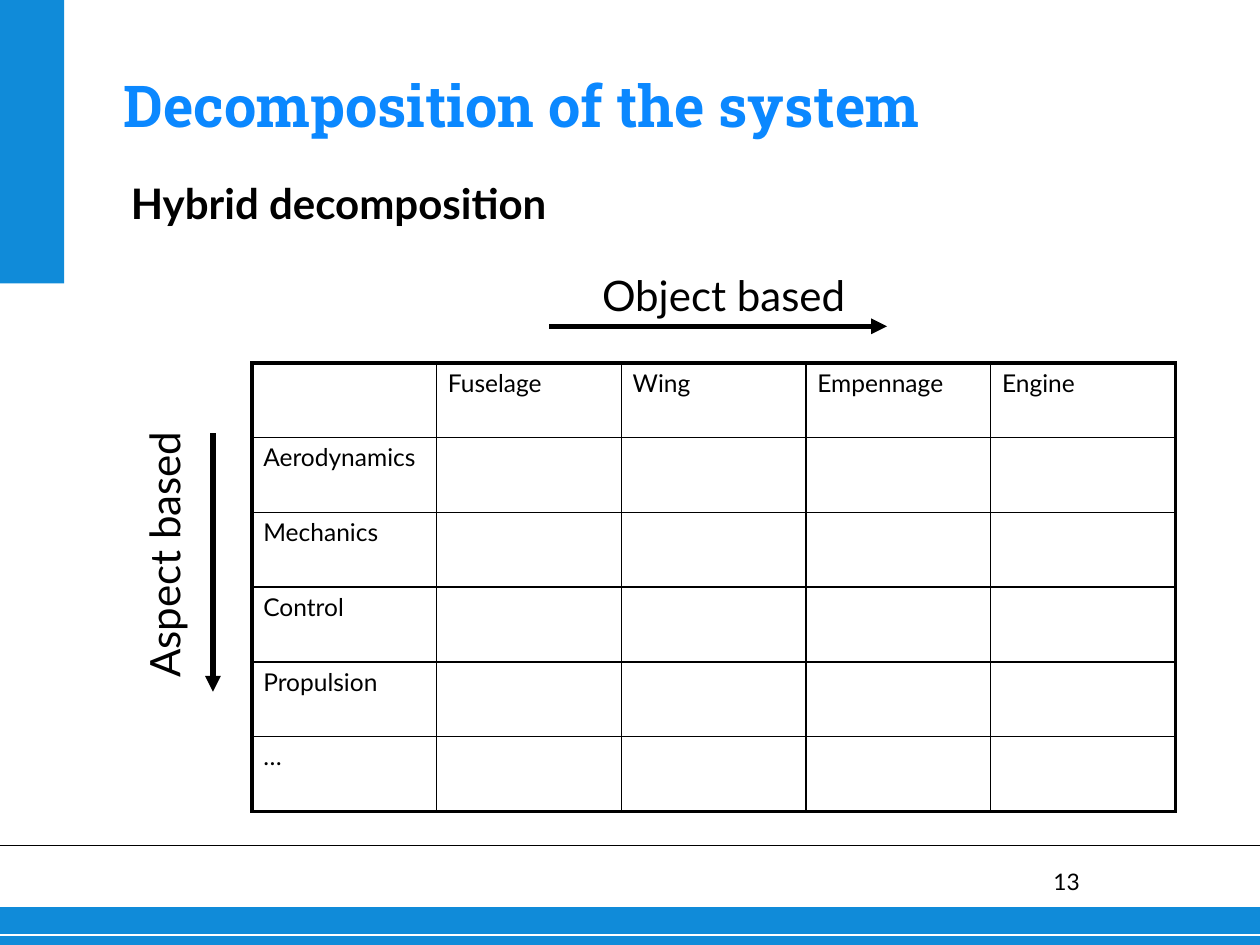
from lxml.etree import SubElement
from pptx import Presentation
from pptx.dml.color import RGBColor
from pptx.enum.shapes import MSO_CONNECTOR, MSO_SHAPE
from pptx.enum.text import MSO_ANCHOR, PP_ALIGN
from pptx.oxml.ns import qn
from pptx.util import Inches, Pt

COLORS = {name: RGBColor.from_string(value) for name, value in {
    "black": "000000", "white": "FFFFFF", "band": "108BD9", "title": "0B88FF",
}.items()}

deck = Presentation()
deck.slide_width, deck.slide_height = Inches(10), Inches(7.5)
column, row = deck.slide_width / 100, deck.slide_height / 100
page = deck.slides.add_slide(deck.slide_layouts[5])


def add_text(words, left, top, width, height, size=24, bold=False, wrap=False):
    box = page.shapes.add_textbox(
        int(left * column), int(top * row), int(width * column), int(height * row))
    box.text_frame.word_wrap = wrap
    para = box.text_frame.paragraphs[0]
    para.text = words
    para.font.name, para.font.size, para.font.bold = "Lato", Pt(size), bold
    para.font.color.rgb = COLORS["black"]
    return box


def add_line(start_x, start_y, end_x, end_y, weight, color="black", arrow=False):
    line = page.shapes.add_connector(
        MSO_CONNECTOR.STRAIGHT, int(start_x * column), int(start_y * row),
        int(end_x * column), int(end_y * row))
    line.line.width = Pt(weight)
    line.line.color.rgb = COLORS[color]
    if arrow:
        SubElement(line.line._get_or_add_ln(), qn("a:tailEnd"), type="triangle")
    SubElement(line._element.spPr, qn("a:effectLst"))


for left, top, width, height in [(0, 96, 100, 4), (0, 0, 5.1, 30)]:
    band = page.shapes.add_shape(
        MSO_SHAPE.RECTANGLE, int(left * column), int(top * row),
        int(width * column), int(height * row))
    band.shadow.inherit = False
    band.fill.solid()
    band.fill.fore_color.rgb = COLORS["band"]
    band.line.fill.background()

add_line(0, 98.93, 100, 98.93, 0.75, "white")
add_line(0, 89.47, 100, 89.47, 1)

number = add_text("13", 83.6, 91.87, 5.9, 3.73, size=13, wrap=True).text_frame
number.margin_left = number.margin_top = number.margin_right = number.margin_bottom = 0

title = page.shapes.title
title.left, title.top = int(9.8 * column), int(-0.93 * row)
title.width, title.height = int(83.8 * column), int(15.6 * row)
frame = title.text_frame
frame.margin_left = frame.margin_top = frame.margin_right = frame.margin_bottom = 0
frame.vertical_anchor = MSO_ANCHOR.BOTTOM
para = frame.paragraphs[0]
para.text = "Decomposition of the system"
para.alignment = PP_ALIGN.LEFT
para.font.name, para.font.size, para.font.bold = "Roboto Slab", Pt(33), True
para.font.color.rgb = COLORS["title"]

add_text("Hybrid decomposition", 9.4, 18.13, 39, 6.67, bold=True)
add_text("Object based", 46.8, 27.87, 21.3, 6.67)
add_line(43.6, 34.53, 70.4, 34.53, 3, arrow=True)
aspect = add_text("Aspect based", 10.5, 45.73, 6, 27.33)
aspect.text_frame._txBody.bodyPr.set("vert", "vert270")
add_line(16.9, 45.87, 16.9, 73.2, 3, arrow=True)

objects = ["Fuselage", "Wing", "Empennage", "Engine"]
aspects = ["Aerodynamics", "Mechanics", "Control", "Propulsion", "…"]
last_row, last_column = len(aspects), len(objects)
table = page.shapes.add_table(
    last_row + 1, last_column + 1, int(20 * column), int(38.4 * row),
    int(73.3 * column), int(47.47 * row)).table
table.first_row = table.horz_banding = False

for row_index, heading in enumerate([""] + aspects):
    for column_index, label in enumerate([""] + objects):
        cell = table.cell(row_index, column_index)
        cell.margin_left = cell.margin_right = Inches(0.09)
        cell.margin_top = cell.margin_bottom = Inches(0.04)
        para = cell.text_frame.paragraphs[0]
        para.text = heading or label if row_index == 0 or column_index == 0 else ""
        para.font.name, para.font.size = "Lato", Pt(14)
        para.font.color.rgb = COLORS["black"]
        outer_edges = {
            "a:lnL": column_index == 0, "a:lnR": column_index == last_column,
            "a:lnT": row_index == 0, "a:lnB": row_index == last_row,
        }
        properties = cell._tc.get_or_add_tcPr()
        for edge, outer in outer_edges.items():
            border = SubElement(properties, qn(edge), w=str(Pt(2.25 if outer else 1)))
            fill = SubElement(border, qn("a:solidFill"))
            SubElement(fill, qn("a:srgbClr"), val=str(COLORS["black"]))
        cell.fill.background()

deck.save("out.pptx")
